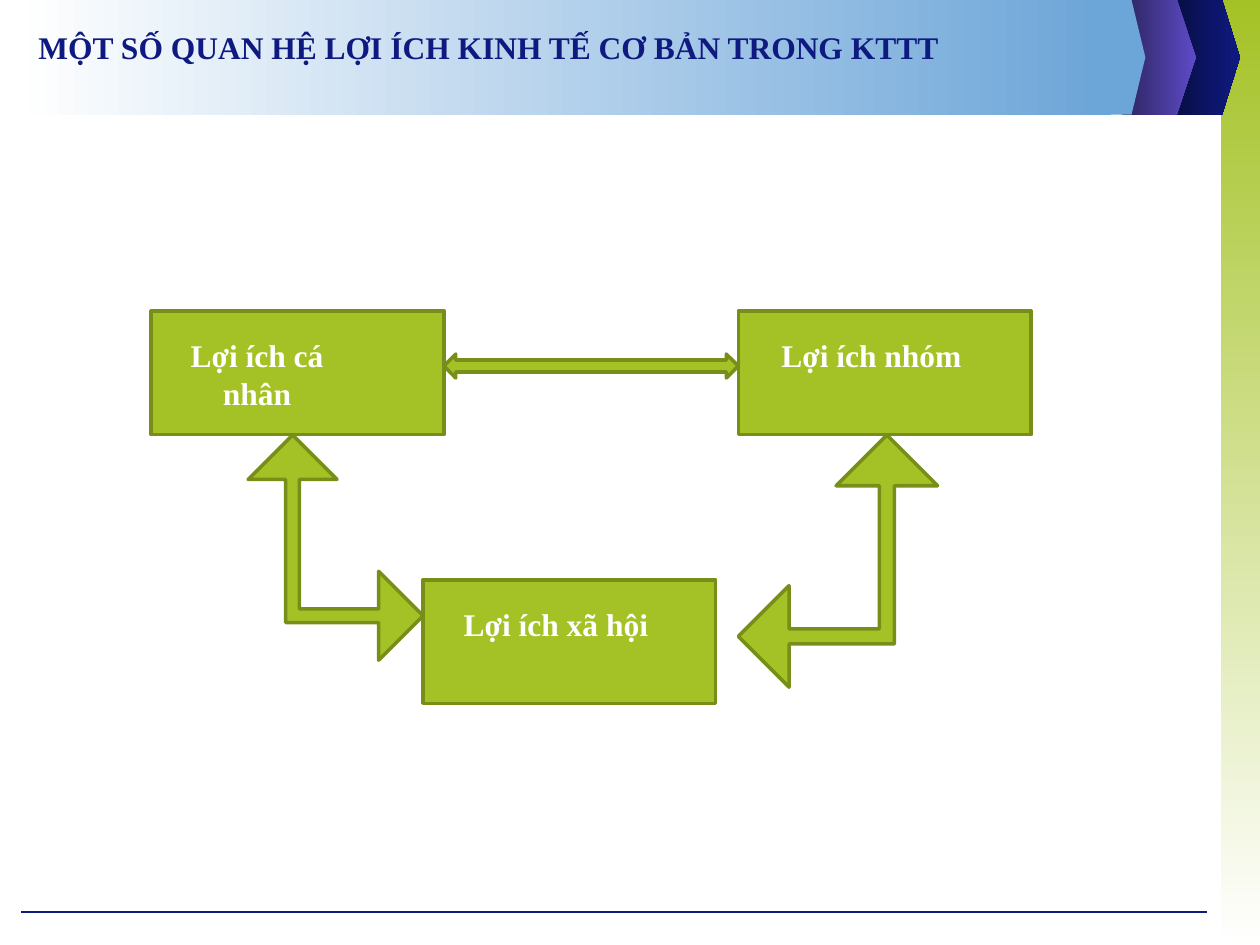
"""Build a slide on the basic economic interest relations."""
import dataclasses
import typing

import lxml.etree
import pptx
import pptx.dml.color
import pptx.enum.shapes
import pptx.enum.text
import pptx.oxml.ns
import pptx.util

Pt = pptx.util.Pt
Kind = pptx.enum.shapes.MSO_SHAPE
Align = pptx.enum.text.PP_ALIGN

GREEN, OLIVE, NAVY, BLUE, WHITE = "A4C226", "778E19", "0F1A81", "6CA5D8", "FFFFFF"
BAND = 65.5


@dataclasses.dataclass
class Ribbon:
    left: float
    neck: float
    tip: float
    fill: tuple[str, ...]


@dataclasses.dataclass
class Card:
    left: float
    top: float
    text: str
    shift: float


@dataclasses.dataclass
class Elbow:
    side: tuple[float, float]
    peak: tuple[float, float]
    head: float
    half: float


RIBBONS = [
    Ribbon(666, 698.4, 708.5, ("070C3C", NAVY)),
    Ribbon(640.8, 672.5, 683.3, ("2B235C", "5D4BC7")),
]
CAP = Ribbon(621.4, 646.6, 654.5, (BLUE,))
CARDS = [
    Card(86.4, 177.8, "Lợi ích cá nhân", -3.6),
    Card(421.9, 177.8, "Lợi ích nhóm", 12),
    Card(241.6, 331.3, "Lợi ích xã hội", 12),
]
ELBOWS = [
    Elbow((421.9, 363.7), (506.8, 248.6), 29, 4.3),
    Elbow((241.8, 351.9), (167.2, 248.6), 25.4, 3.9),
]


def tint(code: str) -> pptx.dml.color.RGBColor:
    return pptx.dml.color.RGBColor.from_string(code)


def paint(shape, fill: tuple[str, ...], edge: str = "", turn: float = 0) -> None:
    shape.shadow.inherit = False
    if len(fill) == 1:
        shape.fill.solid()
        shape.fill.fore_color.rgb = tint(fill[0])
    else:
        shape.fill.gradient()
        shape.fill.gradient_angle = turn
        for place, (stop, code) in enumerate(zip(shape.fill.gradient_stops, fill)):
            stop.position = place
            stop.color.rgb = tint(code)
    if edge:
        shape.line.color.rgb = tint(edge)
        shape.line.width = Pt(2)
    else:
        shape.line.fill.background()


def block(slide, kind, box: typing.Sequence[float], fill: tuple[str, ...], **style):
    shape = slide.shapes.add_shape(kind, *map(Pt, box))
    paint(shape, fill, **style)
    return shape


def trace(slide, dots: list[tuple[float, float]], fill: tuple[str, ...], **style) -> None:
    first, *rest = [(Pt(x), Pt(y)) for x, y in dots]
    pen = slide.shapes.build_freeform(*first, scale=1.0)
    pen.add_line_segments(rest, close=True)
    paint(pen.convert_to_shape(), fill, **style)


def write(slide, text: str, *, left: float, top: float, width: float, height: float = 29,
          color: str = WHITE, align=Align.CENTER) -> None:
    box = slide.shapes.add_textbox(Pt(left), Pt(top), Pt(width), Pt(height))
    frame = box.text_frame
    frame.word_wrap = True
    frame.auto_size = pptx.enum.text.MSO_AUTO_SIZE.SHAPE_TO_FIT_TEXT
    para = frame.paragraphs[0]
    para.alignment = align
    run = para.add_run()
    run.text = text
    run.font.name = "Times New Roman"
    run.font.size = Pt(18)
    run.font.bold = True
    run.font.color.rgb = tint(color)


def draw_ribbon(slide, item: Ribbon) -> None:
    dots = [(item.left, 0), (item.neck, 0), (item.tip, BAND / 2),
            (item.neck, BAND), (item.left, BAND)]
    trace(slide, dots, item.fill)


def draw_card(slide, item: Card) -> None:
    block(slide, Kind.RECTANGLE, (item.left, item.top, 167.4, 70.6), (GREEN,), edge=OLIVE)
    write(slide, item.text, left=item.left + item.shift, top=item.top + 10.8, width=128.2)


def draw_elbow(slide, item: Elbow) -> None:
    (sx, sy), (px, py) = item.side, item.peak
    way = 1 if px > sx else -1
    head, half = item.head, item.half
    neck, base = sx + way * head, py + head
    near, far = px - way * half, px + way * half
    dots = [(sx, sy), (neck, sy - head), (neck, sy - half), (near, sy - half),
            (near, base), (px - way * head, base), (px, py), (px + way * head, base),
            (far, base), (far, sy + half), (neck, sy + half), (neck, sy + head)]
    trace(slide, dots, (GREEN,), edge=OLIVE)


def draw_rule(slide) -> None:
    rule = slide.shapes.add_connector(
        pptx.enum.shapes.MSO_CONNECTOR.STRAIGHT, Pt(12.2), Pt(521.2), Pt(690), Pt(521.2))
    rule.line.color.rgb = tint(NAVY)
    rule.line.width = Pt(0.75)
    lxml.etree.SubElement(rule._element.spPr, pptx.oxml.ns.qn("a:effectLst"))


def main() -> None:
    deck = pptx.Presentation()
    deck.slide_width, deck.slide_height = Pt(720), Pt(540)
    slide = deck.slides.add_slide(deck.slide_layouts[6])
    block(slide, Kind.RECTANGLE, (697.7, 0, 22.3, 540), (GREEN, WHITE), turn=270)
    for ribbon in RIBBONS:
        draw_ribbon(slide, ribbon)
    draw_rule(slide)
    block(slide, Kind.RECTANGLE, (8.6, 0, 626.4, BAND), (WHITE, BLUE))
    draw_ribbon(slide, CAP)
    for card in CARDS:
        draw_card(slide, card)
    block(slide, Kind.LEFT_RIGHT_ARROW, (253.6, 202.3, 168.3, 13.7), (GREEN,), edge=OLIVE)
    for elbow in ELBOWS:
        draw_elbow(slide, elbow)
    write(slide, "MỘT SỐ QUAN HỆ LỢI ÍCH KINH TẾ CƠ BẢN TRONG KTTT",
          left=14.9, top=12.2, width=605.5, color=NAVY, align=Align.LEFT)
    deck.save("out.pptx")


if __name__ == "__main__":
    main()
